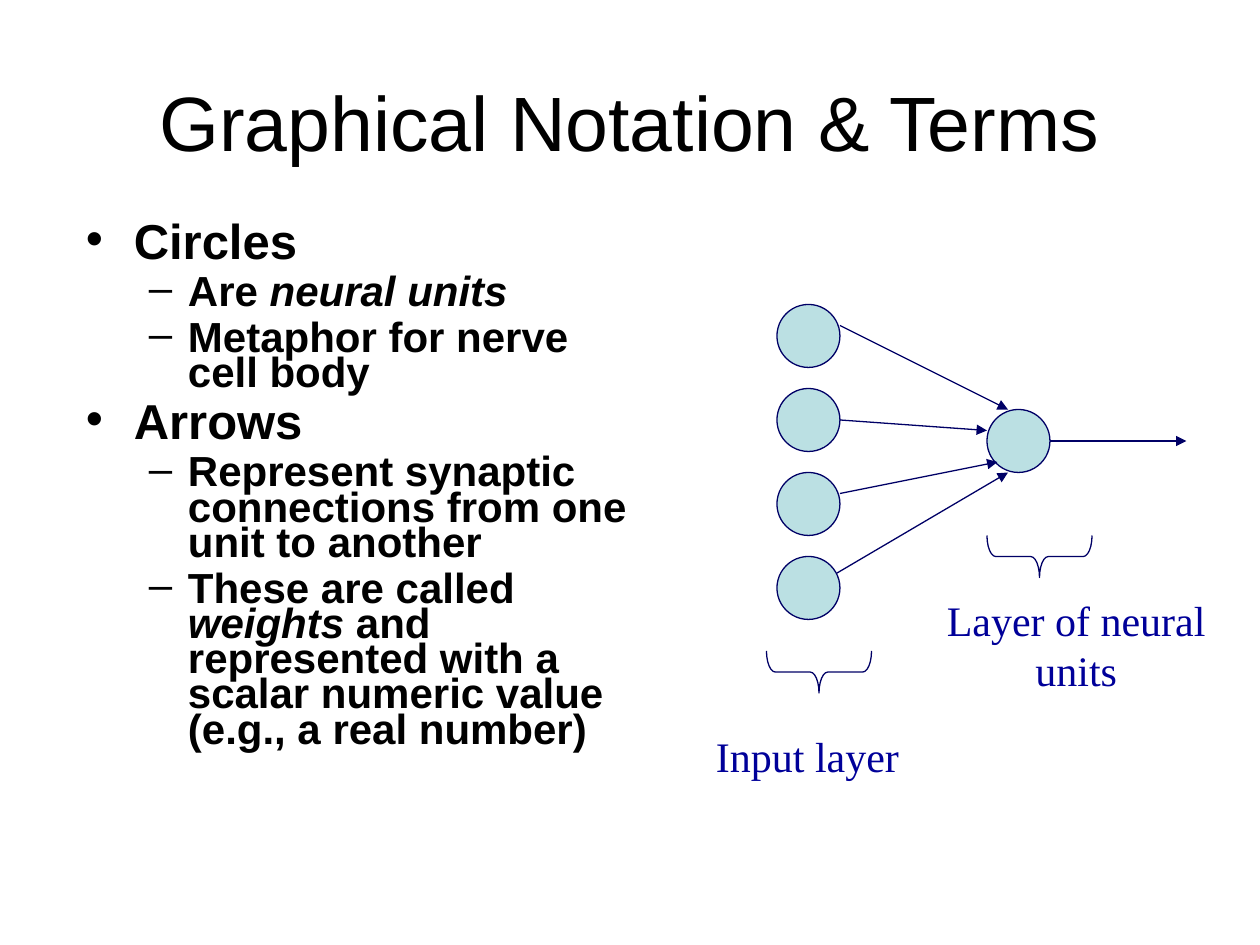
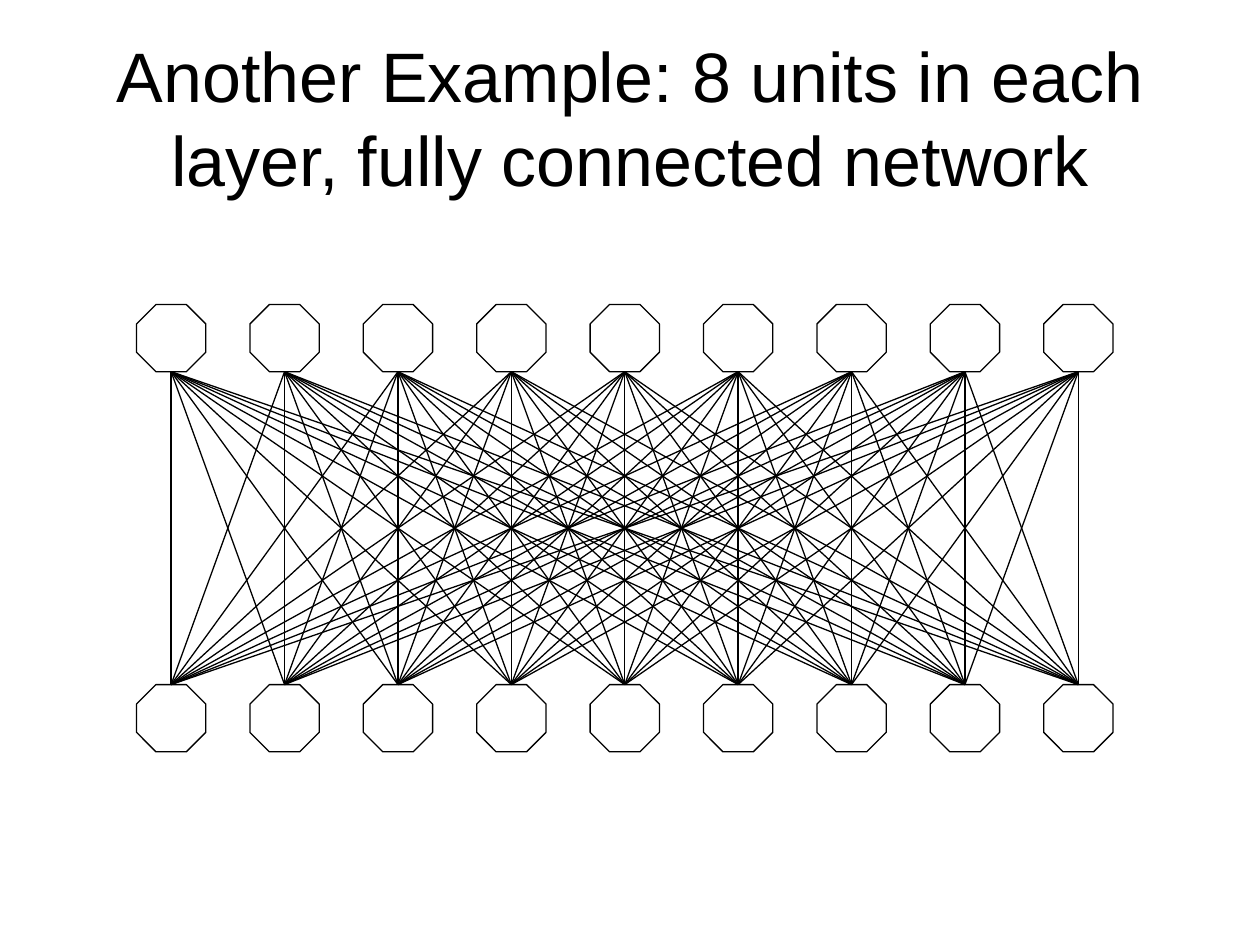
from itertools import product
from lxml import etree
from pptx import Presentation
from pptx import util as u
from pptx.dml.color import RGBColor
from pptx.enum import shapes, text
from pptx.oxml.ns import qn

COLUMNS, ROWS = 120, 90
CELL = u.Inches(10) / COLUMNS
BLACK, WHITE = "000000", "FFFFFF"
UNIT_FILL, UNIT_LINE, LABEL = "BBE0E3", "000066", "000099"
SANS, SERIF = "Arial", "Times New Roman"
LINE_WIDTH = 0.75

TERMS = [
    (0, ["Circles"]),
    (1, ["Are ", "neural units"]),
    (1, ["Metaphor for nerve cell body"]),
    (0, ["Arrows"]),
    (1, ["Represent synaptic connections from one unit to another"]),
    (1, ["These are called ", "weights",
         " and represented with a scalar numeric value (e.g., a real number)"]),
]
LEVELS = [
    {"bullet": "•", "size": 28, "before": 7, "margin": 0.38, "indent": -0.38},
    {"bullet": "–", "size": 24, "before": 6, "margin": 0.81, "indent": -0.31},
]


def cells(*lengths):
    return [u.Emu(round(length * CELL)) for length in lengths]


def color(value):
    return RGBColor.from_string(value)


def style_font(font, name, size, value):
    font.name = name
    font.size = u.Pt(size)
    font.color.rgb = color(value)


def add_text_frame(slide, box):
    frame = slide.shapes.add_textbox(*cells(*box)).text_frame
    frame.word_wrap = True
    return frame


def add_text(slide, box, words, name, size, value, align=text.PP_ALIGN.CENTER):
    frame = add_text_frame(slide, box)
    paragraph = frame.paragraphs[0]
    paragraph.text = words
    paragraph.alignment = align
    style_font(paragraph.font, name, size, value)
    return frame


def add_title(slide, top, words, size):
    frame = add_text(slide, (6, top, 108, 15), words, SANS, size, BLACK)
    frame.vertical_anchor = text.MSO_ANCHOR.MIDDLE


def add_outline(parent, kind, box, line, fill=None):
    shape = parent.shapes.add_shape(kind, *cells(*box))
    shape.shadow.inherit = False
    if fill:
        shape.fill.solid()
        shape.fill.fore_color.rgb = color(fill)
    else:
        shape.fill.background()
    shape.line.color.rgb = color(line)
    shape.line.width = u.Pt(LINE_WIDTH)
    return shape


def add_line(parent, start, end, value, arrow=False):
    connector = parent.shapes.add_connector(
        shapes.MSO_CONNECTOR.STRAIGHT, *cells(*start, *end))
    connector.line.color.rgb = color(value)
    connector.line.width = u.Pt(LINE_WIDTH)
    if arrow:
        outline = connector.line._get_or_add_ln()
        etree.SubElement(outline, qn("a:tailEnd"), type="triangle")
    etree.SubElement(connector._element.spPr, qn("a:effectLst"))


def add_brace(slide, left, top, width=10, height=4):
    box = (left + (width - height) / 2, top - (width - height) / 2, height, width)
    brace = add_outline(slide, shapes.MSO_SHAPE.LEFT_BRACE, box, UNIT_LINE)
    brace.rotation = 270
    brace.adjustments[0] = 0.21


def add_bullet(paragraph, level):
    properties = paragraph._p.get_or_add_pPr()
    properties.set("marL", str(u.Inches(level["margin"])))
    properties.set("indent", str(u.Inches(level["indent"])))
    bullet_color = etree.SubElement(properties, qn("a:buClr"))
    etree.SubElement(bullet_color, qn("a:srgbClr"), val=BLACK)
    etree.SubElement(properties, qn("a:buFont"), typeface=SANS)
    etree.SubElement(properties, qn("a:buChar"), char=level["bullet"])


def add_terms(slide, box):
    frame = add_text_frame(slide, box)
    for index, (depth, parts) in enumerate(TERMS):
        level = LEVELS[depth]
        paragraph = frame.add_paragraph() if index else frame.paragraphs[0]
        paragraph.level = depth
        paragraph.line_spacing = 0.7
        paragraph.space_before = u.Pt(level["before"] if index else 0)
        add_bullet(paragraph, level)
        style_font(paragraph.font, SANS, level["size"], BLACK)
        paragraph.font.bold = True
        for position, words in enumerate(parts):
            run = paragraph.add_run()
            run.text = words
            if position == 1:
                run.font.italic = True


def add_layer_diagram(slide, left, top):
    def add_unit(x, y):
        add_outline(slide, shapes.MSO_SHAPE.OVAL, (left + x, top + y, 6, 6),
                    UNIT_LINE, UNIT_FILL)

    add_unit(27, 10)
    arrows = [((13, 2), (29, 10)), ((13, 11), (27, 12)), ((13, 18), (28, 15)),
              ((12, 26), (29, 16)), ((33, 13), (46, 13))]
    for (x1, y1), (x2, y2) in arrows:
        add_line(slide, (left + x1, top + y1), (left + x2, top + y2),
                 UNIT_LINE, arrow=True)
    for row in range(4):
        add_unit(7, 8 * row)

    add_brace(slide, left + 6, top + 33)
    add_text(slide, (left, top + 40, 22, 6), "Input layer", SERIF, 24, LABEL,
             text.PP_ALIGN.LEFT)
    add_brace(slide, left + 27, top + 22)
    add_text(slide, (left + 21, top + 27, 29, 10.8), "Layer of neural units",
             SERIF, 24, LABEL)


def add_full_network(slide, left, top, width, height, count=9):
    unit_width, unit_height = 6.6, 6.4
    pitch = (width - unit_width) / (count - 1)
    lefts = [left + pitch * index for index in range(count)]
    lower_top = top + height - unit_height
    group = slide.shapes.add_group_shape()
    for unit_top, unit_left in product((top, lower_top), lefts):
        octagon = add_outline(group, shapes.MSO_SHAPE.OCTAGON,
                              (unit_left, unit_top, unit_width, unit_height),
                              BLACK, WHITE)
        octagon.adjustments[0] = 0.29
    centers = [unit_left + unit_width / 2 for unit_left in lefts]
    for upper, lower in product(centers, repeat=2):
        add_line(group, (upper, top + unit_height), (lower, lower_top), BLACK)


def build_notation_slide(slide):
    add_title(slide, 4, "Graphical Notation & Terms", 44)
    add_terms(slide, (7, 21, 56, 54))
    add_layer_diagram(slide, 67, 29)


def build_example_slide(slide):
    add_title(slide, 3.6, "Another Example: 8 units in each layer, "
              "fully connected network", 40)
    add_full_network(slide, 13, 29, 93, 42.6)


def main():
    presentation = Presentation()
    presentation.slide_width, presentation.slide_height = cells(COLUMNS, ROWS)
    for build in (build_notation_slide, build_example_slide):
        build(presentation.slides.add_slide(presentation.slide_layouts[6]))
    presentation.save("out.pptx")


if __name__ == "__main__":
    main()
